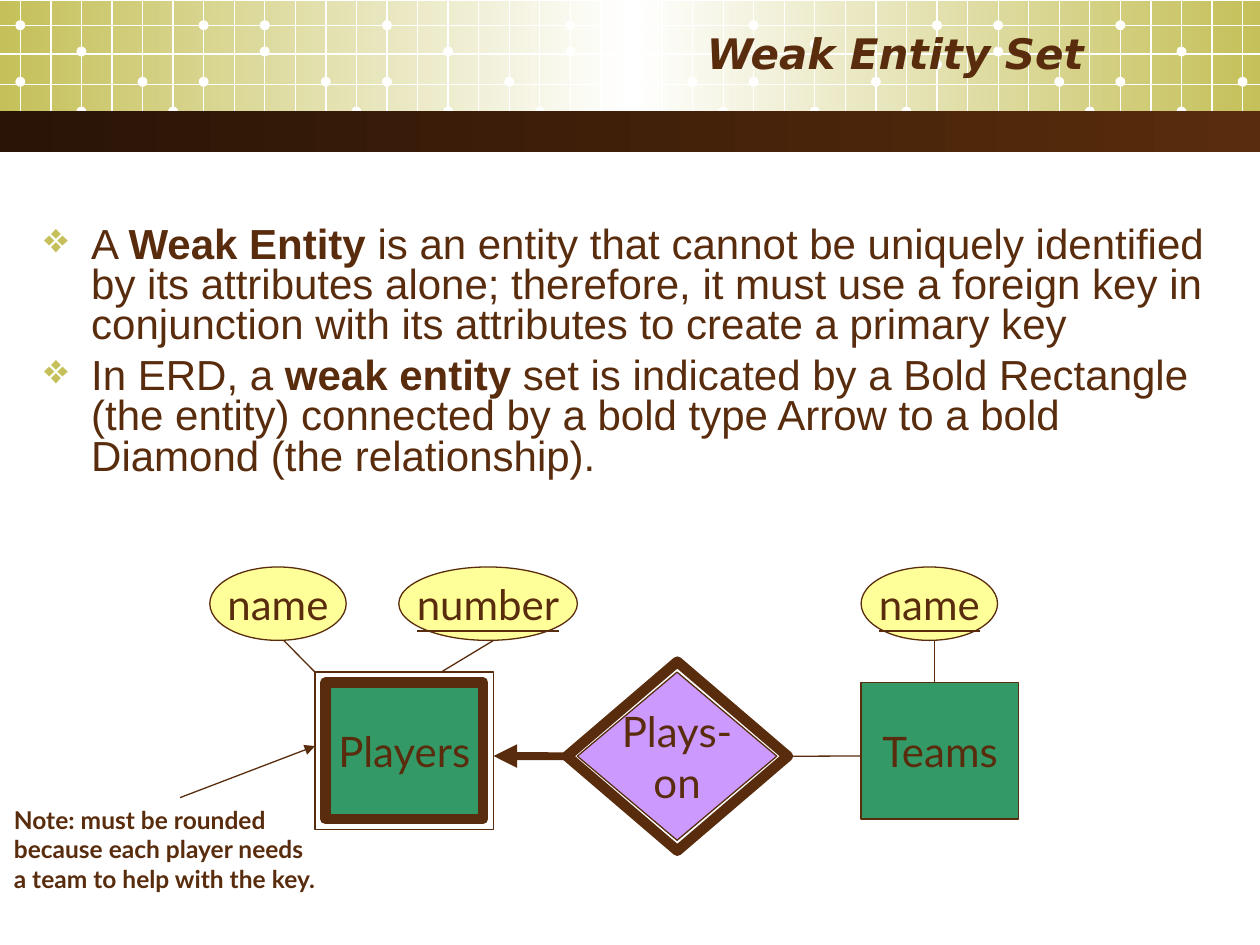
from lxml.etree import SubElement
from pptx import Presentation
from pptx.dml.color import RGBColor
from pptx.enum.shapes import MSO_CONNECTOR, MSO_SHAPE
from pptx.enum.text import MSO_ANCHOR, PP_ALIGN
from pptx.oxml.ns import qn
from pptx.util import Cm, Pt

COLORS = {
    "brown": "592C0D", "dark": "291406", "olive": "C5C059", "white": "FFFFFF",
    "green": "339966", "violet": "CC99FF", "yellow": "FFFF99",
}
RGB = {name: RGBColor.from_string(value) for name, value in COLORS.items()}

presentation = Presentation()
presentation.slide_width = Cm(25.4)
presentation.slide_height = Cm(19.05)
slide = presentation.slides.add_slide(presentation.slide_layouts[6])


def add_figure(kind, box, fill=None, line=None, width=0.75):
    shape = slide.shapes.add_shape(kind, *[Cm(value) for value in box])
    shape.shadow.inherit = False
    if fill:
        shape.fill.solid()
        shape.fill.fore_color.rgb = RGB[fill]
    else:
        shape.fill.background()
    if line:
        shape.line.color.rgb = RGB[line]
        shape.line.width = Pt(width)
    else:
        shape.line.fill.background()
    return shape


def add_line(start, end, color="brown", width=0.75, arrow=None):
    points = [Cm(value) for value in start + end]
    connector = slide.shapes.add_connector(MSO_CONNECTOR.STRAIGHT, *points)
    connector.line.color.rgb = RGB[color]
    connector.line.width = Pt(width)
    if arrow:
        SubElement(connector.line._get_or_add_ln(), qn(f"a:{arrow}"), type="triangle")
    SubElement(connector._element.spPr, qn("a:effectLst"))
    return connector


# Header bands with horizontal gradients, the grid lying between them
header = add_figure(MSO_SHAPE.RECTANGLE, (0, 0.03, 25.4, 2.59))
column_gap, first_column = 0.616, 0.41
for column in range(41):
    x = first_column + column * column_gap
    add_line((x, 0), (x, 2.79), "white")
for y in (0.51, 1.09, 1.7, 2.26):
    add_line((0, y), (25.4, y), "white")

dot_rows = {
    0.51: (0, 6, 8, 12, 18, 20, 24, 30, 32, 36),
    0.89: (26,),
    1.04: (2, 8, 14, 18, 20, 32, 38),
    1.3: (30,),
    1.65: (0, 4, 6, 10, 12, 16, 22, 24, 28, 34, 36, 40),
    2.25: (2, 5, 11, 14, 17, 23, 26, 29, 35, 38),
}
dot_size = 0.2
for y, columns in dot_rows.items():
    for column in columns:
        x = first_column + column * column_gap
        add_figure(MSO_SHAPE.OVAL,
                   (x - dot_size / 2, y - dot_size / 2, dot_size, dot_size), "white")

band = add_figure(MSO_SHAPE.RECTANGLE, (0, 2.23, 25.4, 0.84))
for shape, stops in ((header, ("olive", "white", "olive")), (band, ("dark", "brown"))):
    shape.fill.gradient()
    shape.fill.gradient_angle = 0
    stop_list = shape._element.spPr.find(qn("a:gradFill")).find(qn("a:gsLst"))
    stop_list.clear()
    for index, color in enumerate(stops):
        position = 100000 * index // (len(stops) - 1)
        stop = SubElement(stop_list, qn("a:gs"), pos=str(position))
        SubElement(stop, qn("a:srgbClr"), val=COLORS[color])

# Title
title = slide.shapes.add_textbox(Cm(0.64), Cm(0), Cm(21.46), Cm(2.13))
title.text_frame.word_wrap = True
title.text_frame.vertical_anchor = MSO_ANCHOR.MIDDLE
title.text_frame.text = "Weak Entity Set"
paragraph = title.text_frame.paragraphs[0]
paragraph.alignment = PP_ALIGN.RIGHT
font = paragraph.runs[0].font
font.name, font.size, font.bold, font.italic = "DejaVu Sans", Pt(24), True, True
font.color.rgb = RGB["brown"]

# Bulleted definition, each with one bold term
bullets = [
    ("A ", "Weak Entity",
     " is an entity that cannot be uniquely identified by its attributes alone; "
     "therefore, it must use a foreign key in conjunction with its attributes "
     "to create a primary key"),
    ("In ERD, a ", "weak entity",
     " set is indicated by a Bold Rectangle (the entity) connected by a bold type "
     "Arrow to a bold Diamond (the relationship)."),
]
body = slide.shapes.add_textbox(Cm(0.64), Cm(4.45), Cm(24.13), Cm(6.68))
body.text_frame.word_wrap = True
for index, parts in enumerate(bullets):
    paragraph = body.text_frame.add_paragraph() if index else body.text_frame.paragraphs[0]
    paragraph.line_spacing = 0.8
    paragraph.space_before = Pt(6)
    properties = paragraph._p.get_or_add_pPr()
    properties.set("marL", str(Cm(0.95)))
    properties.set("indent", str(-Cm(0.95)))
    bullet_color = SubElement(properties, qn("a:buClr"))
    SubElement(bullet_color, qn("a:srgbClr"), val=COLORS["olive"])
    SubElement(properties, qn("a:buChar"), char="❖")
    for part_index, part in enumerate(parts):
        run = paragraph.add_run()
        run.text = part
        run.font.name, run.font.size = "Arial", Pt(24)
        run.font.bold = part_index == 1
        run.font.color.rgb = RGB["brown"]

# Entities, relationship and attributes: kind, box, fill, outline, text, underline
nodes = [
    (MSO_SHAPE.RECTANGLE, (6.56, 13.76, 3.18, 2.75), "green", 6, "Players", False),
    (MSO_SHAPE.RECTANGLE, (17.36, 13.76, 3.18, 2.75), "green", 0.75, "Teams", False),
    (MSO_SHAPE.DIAMOND, (11.64, 13.55, 4.02, 3.39), "violet", 0.75, "Plays-\non", False),
    (MSO_SHAPE.OVAL, (4.23, 11.43, 2.75, 1.48), "yellow", 0.75, "name", False),
    (MSO_SHAPE.OVAL, (17.36, 11.43, 2.75, 1.48), "yellow", 0.75, "name", True),
    (MSO_SHAPE.OVAL, (8.04, 11.43, 3.6, 1.48), "yellow", 0.75, "number", True),
]
for kind, box, fill, width, text, underline in nodes:
    shape = add_figure(kind, box, fill, "brown", width)
    shape.text_frame.word_wrap = False
    shape.text_frame.vertical_anchor = MSO_ANCHOR.MIDDLE
    shape.text_frame.text = text
    for paragraph in shape.text_frame.paragraphs:
        paragraph.alignment = PP_ALIGN.CENTER
        font = paragraph.runs[0].font
        font.name, font.size, font.underline = "Lato", Pt(24), underline
        font.color.rgb = RGB["brown"]

# Outer frames that mark the weak entity and its relationship
add_figure(MSO_SHAPE.RECTANGLE, (6.35, 13.55, 3.6, 3.18), line="brown")
bold_diamond = add_figure(MSO_SHAPE.DIAMOND, (11.43, 13.34, 4.45, 3.81),
                          line="brown", width=6)

# Relationship links
weak_link = add_line((9.95, 15.24), (11.43, 15.24), width=4.5, arrow="headEnd")
weak_link.end_connect(bold_diamond, 1)
team_link = add_line((15.88, 15.24), (17.36, 15.24))
team_link.begin_connect(bold_diamond, 3)

# Attribute links
for start, end in (((5.72, 12.91), (6.35, 13.55)),
                   ((9.95, 12.91), (8.89, 13.55)),
                   ((18.84, 12.91), (18.84, 13.76))):
    add_line(start, end)

# Note with its pointer
note = slide.shapes.add_textbox(Cm(0.03), Cm(16.1), Cm(7.44), Cm(2.03))
note.text_frame.word_wrap = False
note.text_frame.text = ("Note: must be rounded\nbecause each player needs\n"
                        "a team to help with the key.")
for paragraph in note.text_frame.paragraphs:
    font = paragraph.runs[0].font
    font.name, font.size, font.bold = "Lato", Pt(14), True
    font.color.rgb = RGB["brown"]
add_line((3.63, 16.08), (6.35, 15.04), arrow="tailEnd")

presentation.save("out.pptx")
